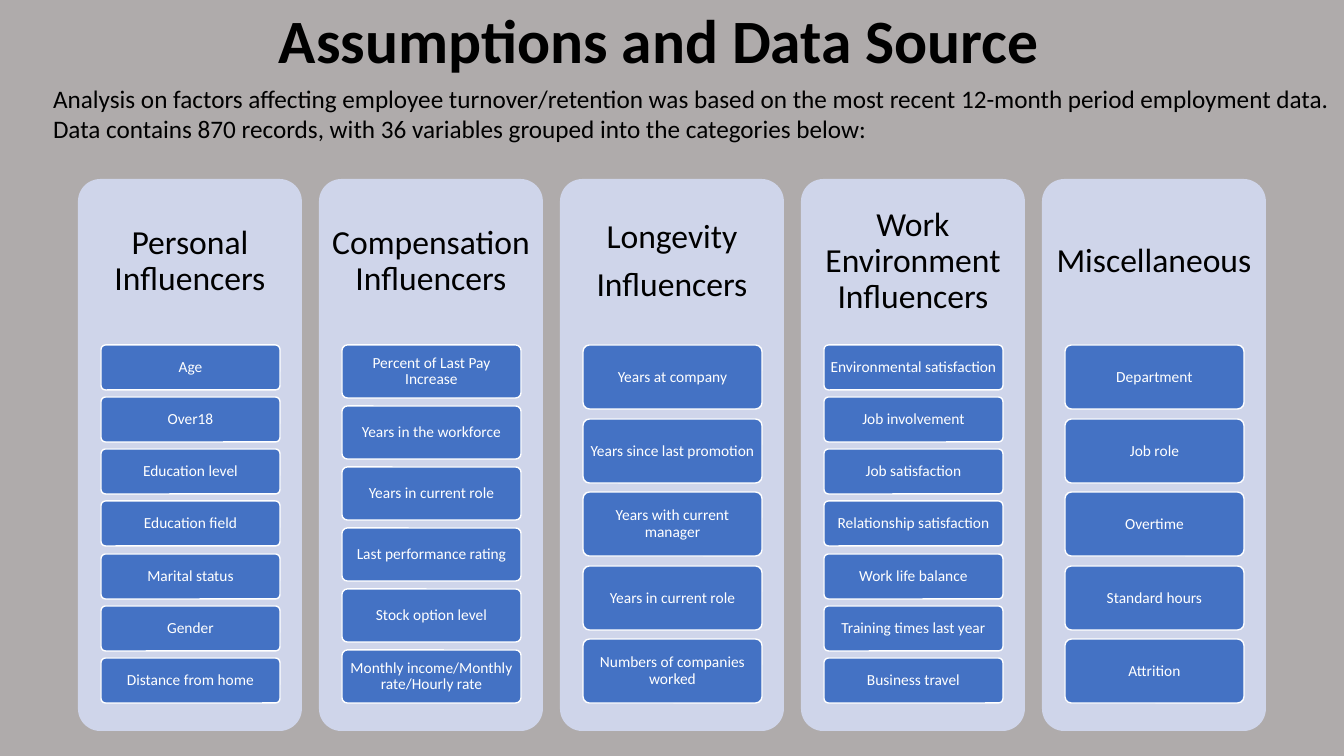
"""Build the slide on assumptions and data source."""
from dataclasses import dataclass

from pptx import Presentation
from pptx.dml.color import RGBColor
from pptx.enum.shapes import MSO_SHAPE
from pptx.enum.text import MSO_ANCHOR, MSO_AUTO_SIZE, PP_ALIGN
from pptx.util import Emu, Pt

ROUND = MSO_SHAPE.ROUNDED_RECTANGLE
MIDDLE, TOP = MSO_ANCHOR.MIDDLE, MSO_ANCHOR.TOP
LEFT, CENTER = PP_ALIGN.LEFT, PP_ALIGN.CENTER
FIXED = MSO_AUTO_SIZE.NONE
SCALE = 914400 / 100.8


@dataclass(frozen=True)
class Theme:
    font: str = "Calibri"
    back: str = "AFABAB"
    panel: str = "CFD5EA"
    box: str = "4472C4"
    dark: str = "000000"
    light: str = "FFFFFF"
    title: int = 44
    head: int = 24
    intro: int = 18
    item: int = 11


THEME = Theme()
TITLE = "Assumptions and Data Source"
INTRO = [
    "Analysis on factors affecting employee turnover/retention was based on "
    "the most recent 12-month period employment data.",
    "Data contains 870 records, with 36 variables grouped into the categories below:",
]
GROUPS = [
    (["Personal Influencers"],
     ["Age", "Over18", "Education level", "Education field", "Marital status",
      "Gender", "Distance from home"]),
    (["Compensation Influencers"],
     ["Percent of Last Pay Increase", "Years in the workforce",
      "Years in current role", "Last performance rating", "Stock option level",
      "Monthly income/Monthly rate/Hourly rate"]),
    (["Longevity", "Influencers"],
     ["Years at company", "Years since last promotion",
      "Years with current manager", "Years in current role",
      "Numbers of companies worked"]),
    (["Work Environment Influencers"],
     ["Environmental satisfaction", "Job involvement", "Job satisfaction",
      "Relationship satisfaction", "Work life balance",
      "Training times last year", "Business travel"]),
    (["Miscellaneous"],
     ["Department", "Job role", "Overtime", "Standard hours", "Attrition"]),
]


def px(n):
    """Turn pixels into EMU."""
    return Emu(round(n * SCALE))


def paint(fill, color):
    """Give a fill one solid colour."""
    fill.solid()
    fill.fore_color.rgb = RGBColor.from_string(color)


def write(shape, lines, size, color, align=CENTER, anchor=MIDDLE,
          pad=(10, 5), space=0.9, after=0, bold=False):
    """Write lines as paragraphs of one run each."""
    frame = shape.text_frame
    frame.word_wrap = True
    frame.auto_size = FIXED
    frame.vertical_anchor = anchor
    frame.margin_left = frame.margin_right = px(pad[0])
    frame.margin_top = frame.margin_bottom = px(pad[1])
    for i, line in enumerate(lines):
        para = frame.add_paragraph() if i else frame.paragraphs[0]
        para.alignment = align
        para.line_spacing = space
        para.space_before = Pt(0)
        para.space_after = Pt(after if i < len(lines) - 1 else 0)
        run = para.add_run()
        run.text = line
        run.font.name = THEME.font
        run.font.size = Pt(size)
        run.font.bold = bold
        run.font.color.rgb = RGBColor.from_string(color)


def add_text(slide, box, lines, size, **style):
    """Add a text box with dark text."""
    shape = slide.shapes.add_textbox(*map(px, box))
    write(shape, lines, size, THEME.dark, **style)


def add_round(slide, box, color, line=None):
    """Add a rounded panel, with an outline if asked."""
    shape = slide.shapes.add_shape(ROUND, *map(px, box))
    shape.adjustments[0] = 0.1
    shape.shadow.inherit = False
    paint(shape.fill, color)
    if line:
        paint(shape.line.fill, line)
        shape.line.width = Pt(1)
    else:
        shape.line.fill.background()
    return shape


def add_title(slide):
    """Place and fill the title."""
    title = slide.shapes.title
    title.left, title.top, title.width, title.height = map(px, (80, -29, 1159, 146))
    write(title, [TITLE], THEME.title, THEME.dark, bold=True)


def add_group(slide, left, head, items):
    """Add one column: panel, heading and evenly spaced items."""
    add_round(slide, (left, 179, 224, 552), THEME.panel)
    add_text(slide, (left, 179, 224, 165), head, THEME.head,
             pad=(10, 10), after=8.4)
    count = len(items)
    high = 358 / (count + (count - 1) * 2 / 13)
    for i, item in enumerate(items):
        top = round(345 + i * high * 15 / 13)
        box = add_round(slide, (left + 23, top, 179, round(high)),
                        THEME.box, THEME.light)
        write(box, [item], THEME.item, THEME.light, pad=(3, 2))


def main():
    """Build and save the slide."""
    deck = Presentation()
    deck.slide_width, deck.slide_height = px(1344), px(756)
    slide = deck.slides.add_slide(deck.slide_layouts[5])
    paint(slide.background.fill, THEME.back)
    add_title(slide)
    add_text(slide, (43, 78, 1301, 71), INTRO, THEME.intro,
             align=LEFT, anchor=TOP, space=1.0)
    for i, (head, items) in enumerate(GROUPS):
        add_group(slide, 78 + i * 241, head, items)
    deck.save("out.pptx")


main()
